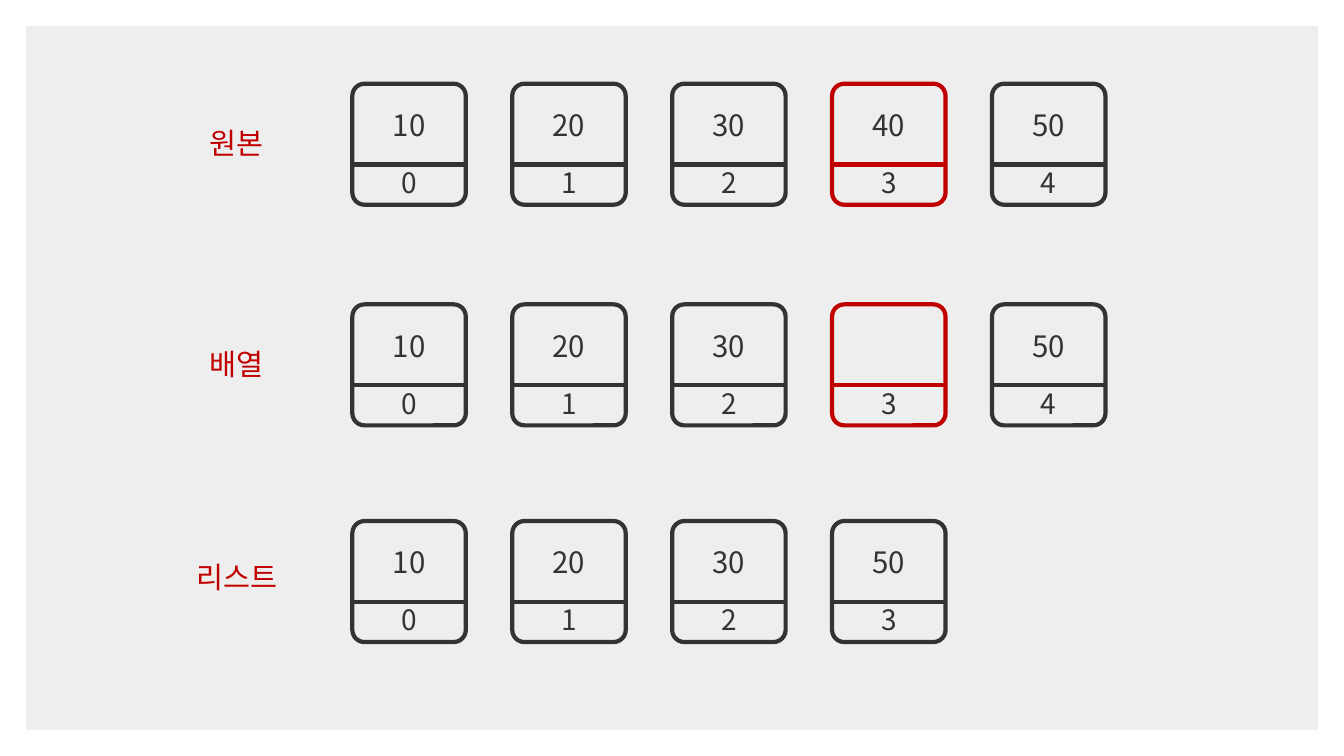
import pptx
import pptx.util
import pptx.dml.color
import pptx.enum.shapes
import pptx.enum.text
import pptx.oxml.ns
import lxml.etree

Cm = pptx.util.Cm
Pt = pptx.util.Pt
Shape = pptx.enum.shapes.MSO_SHAPE
Anchor = pptx.enum.text.MSO_ANCHOR

PANEL = pptx.dml.color.RGBColor(0xEE, 0xEE, 0xEE)
DARK = pptx.dml.color.RGBColor(0x33, 0x33, 0x33)
RED = pptx.dml.color.RGBColor(0xC0, 0x00, 0x00)
FONT = "Noto Sans CJK KR"

CELL_W, CELL_H, PITCH = 2.86, 3.05, 4.03
ROW_X, LABEL_X = 8.88, 4.54
ROWS = [
    ("원본", 2.11, 3.02, ["10", "20", "30", "40", "50"], 3),
    ("배열", 7.67, 8.59, ["10", "20", "30", "", "50"], 3),
    ("리스트", 13.13, 13.97, ["10", "20", "30", "50"], None),
]


def add_text(shapes, text, x, y, w, h, size, color, anchor):
    """Add one centred line of text in the given box."""
    frame = shapes.add_textbox(Cm(x), Cm(y), Cm(w), Cm(h)).text_frame
    frame.word_wrap = True
    frame.vertical_anchor = anchor
    frame.margin_top = frame.margin_bottom = 0
    para = frame.paragraphs[0]
    para.text = text
    para.alignment = pptx.enum.text.PP_ALIGN.CENTER
    run = para.runs[0]
    run.font.size = Pt(size)
    run.font.name = FONT
    run.font.color.rgb = color
    props = run.font._element
    east = lxml.etree.SubElement(props, pptx.oxml.ns.qn("a:ea"))
    east.set("typeface", FONT)


def add_panel(shapes, x, y, w, h):
    """Add the grey panel behind the rows."""
    panel = shapes.add_shape(Shape.RECTANGLE, Cm(x), Cm(y), Cm(w), Cm(h))
    panel.shadow.inherit = False
    panel.fill.solid()
    panel.fill.fore_color.rgb = PANEL
    panel.line.fill.background()


def add_cell(shapes, value, index, x, y, w, h, color):
    """Add a rounded cell with its value above its index."""
    frame = shapes.add_shape(Shape.ROUNDED_RECTANGLE, Cm(x), Cm(y), Cm(w), Cm(h))
    frame.adjustments[0] = 0.107
    frame.shadow.inherit = False
    frame.fill.background()
    split = y + h * 2 / 3
    rule = shapes.add_connector(
        pptx.enum.shapes.MSO_CONNECTOR.STRAIGHT,
        Cm(x), Cm(split), Cm(x + w), Cm(split))
    lxml.etree.SubElement(rule._element.spPr, pptx.oxml.ns.qn("a:effectLst"))
    for part in (frame, rule):
        part.line.color.rgb = color
        part.line.width = Pt(3)
    add_text(shapes, str(index), x, split + 0.03, w, h / 3, 20, DARK, Anchor.TOP)
    if value:
        add_text(shapes, value, x, y + 0.46, w, 1.14, 21, DARK, Anchor.MIDDLE)


def add_row(shapes, values, marked, x, y):
    """Add a group of evenly spaced cells, with the marked one in red."""
    group = shapes.add_group_shape()
    for index, value in enumerate(values):
        color = RED if index == marked else DARK
        add_cell(group.shapes, value, index, x + index * PITCH, y, CELL_W, CELL_H, color)


def main():
    """Build and save the slide."""
    deck = pptx.Presentation()
    deck.slide_width, deck.slide_height = Cm(33.87), Cm(19.05)
    shapes = deck.slides.add_slide(deck.slide_layouts[6]).shapes
    add_panel(shapes, 0.66, 0.66, 32.56, 17.73)
    for label, top, label_top, values, marked in ROWS:
        add_row(shapes, values, marked, ROW_X, top)
        add_text(shapes, label, LABEL_X, label_top, CELL_W, 1.14, 21, RED, Anchor.MIDDLE)
    deck.save("out.pptx")


if __name__ == "__main__":
    main()
